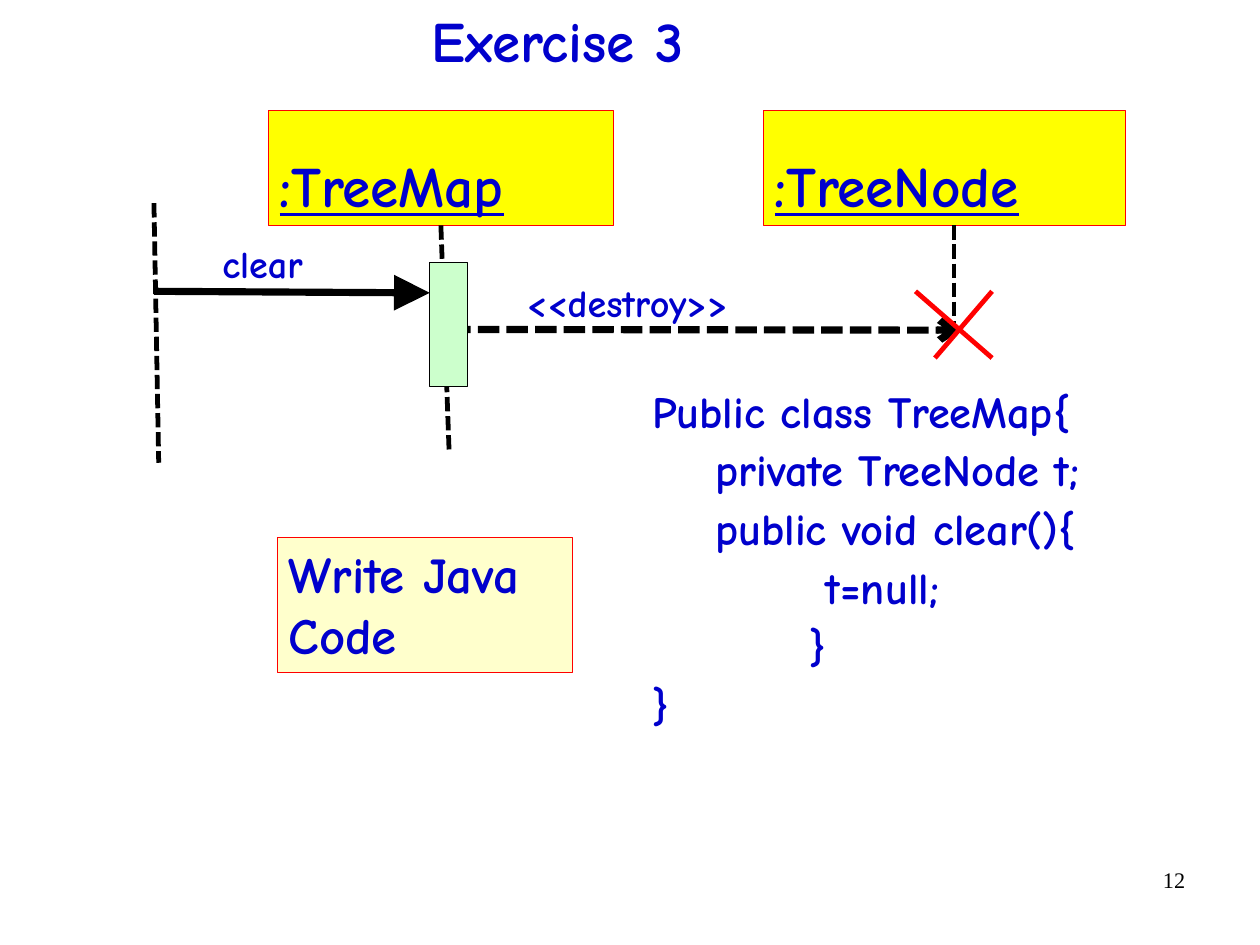
import pptx
import pptx.util
import pptx.dml.color
import pptx.enum.dml
import pptx.enum.shapes
import pptx.enum.text
import pptx.oxml
import pptx.oxml.ns

Pt = pptx.util.Pt
SLIDE_SIZE = (793.75, 595.25)
BLUE, BLACK, RED = "0000CC", "000000", "FF0000"
YELLOW, CREAM, GREEN = "FFFF00", "FFFFCC", "CCFFCC"

# left, top, width, height
OBJECTS = [
    (":TreeMap", (169, 69.5, 217.5, 72.5)),
    (":TreeNode", (481, 69.5, 228, 72.5)),
]
ACTIVATION = (270.75, 165.5, 24, 78)
TASK = ("Write Java Code", (174.75, 338.5, 185.75, 85))
TITLE = ("Exercise 3", (264.75, 0, 360, 51))
PAGE_NUMBER = ("12", (568.75, 542, 185, 41))
MESSAGE_LABELS = [
    ("<<destroy>>", (324.5, 177.75, 168, 30)),
    ("clear", (133, 153.5, 114, 31)),
]
CODE = """Public class TreeMap{
    private TreeNode t;
    public void clear(){
           t=null;
          }
}"""
CODE_AREA = (403.75, 234.75, 382, 237)

# from x, from y, to x, to y
MAP_LIFELINE = (277.75, 142, 283, 286)
OTHER_LIFELINES = [(601, 142, 601, 207.5), (97, 128, 100, 291.5)]
DESTROY_ARROW = (283, 207.5, 606, 208)
CLEAR_ARROW = (97, 183.5, 270.75, 184.5)
CROSS = [(576.75, 183.5, 625, 225.5), (589, 225.5, 625, 183.5)]


def color(value):
    return pptx.dml.color.RGBColor.from_string(value)


def write(shape, text, size=36, font="Comic Neue", ink=BLUE, bold=True,
          underline=False, spacing=1.0, align="LEFT"):
    frame = shape.text_frame
    frame.word_wrap = True
    frame.vertical_anchor = pptx.enum.text.MSO_ANCHOR.TOP
    for index, line in enumerate(text.split("\n")):
        para = frame.add_paragraph() if index else frame.paragraphs[0]
        para.alignment = pptx.enum.text.PP_ALIGN[align]
        para.line_spacing = spacing
        span = para.add_run()
        span.text = line
        span.font.name, span.font.size = font, Pt(size)
        span.font.bold, span.font.underline = bold, underline
        span.font.color.rgb = color(ink)


def add_label(page, text, area, **style):
    write(page.shapes.add_textbox(*map(Pt, area)), text, **style)


def add_box(page, area, fill, outline):
    kind = pptx.enum.shapes.MSO_SHAPE.RECTANGLE
    box = page.shapes.add_shape(kind, *map(Pt, area))
    box.shadow.inherit = False
    box.fill.solid()
    box.fill.fore_color.rgb = color(fill)
    box.line.color.rgb = color(outline)
    box.line.width = Pt(0.75)
    return box


def add_line(page, ends, ink=BLACK, width=3, dashed=False, head=None,
             head_size="med"):
    kind = pptx.enum.shapes.MSO_CONNECTOR.STRAIGHT
    line = page.shapes.add_connector(kind, *map(Pt, ends))
    line.line.color.rgb = color(ink)
    line.line.width = Pt(width)
    if dashed:
        line.line.dash_style = pptx.enum.dml.MSO_LINE.SQUARE_DOT
    namespace = pptx.oxml.ns.nsdecls("a")
    if head:
        line.line._get_or_add_ln().append(pptx.oxml.parse_xml(
            f'<a:tailEnd {namespace} type="{head}"'
            f' w="{head_size}" len="{head_size}"/>'))
    line._element.spPr.append(
        pptx.oxml.parse_xml(f'<a:effectLst {namespace}/>'))
    return line


def main():
    deck = pptx.Presentation()
    deck.slide_width, deck.slide_height = map(Pt, SLIDE_SIZE)
    page = deck.slides.add_slide(deck.slide_layouts[6])

    object_boxes = []
    for name, area in OBJECTS:
        box = add_box(page, area, YELLOW, RED)
        write(box, name, underline=True, spacing=1.5)
        object_boxes.append(box)

    add_line(page, MAP_LIFELINE, dashed=True).begin_connect(object_boxes[0], 2)
    for ends in OTHER_LIFELINES:
        add_line(page, ends, dashed=True)
    add_line(page, DESTROY_ARROW, width=4.5, dashed=True, head="arrow")
    add_line(page, CLEAR_ARROW, width=4.5, head="triangle", head_size="lg")
    for ends in CROSS:
        add_line(page, ends, ink=RED)
    add_box(page, ACTIVATION, GREEN, BLACK)

    for text, area in MESSAGE_LABELS:
        add_label(page, text, area, size=24, spacing=0.8)
    add_label(page, CODE, CODE_AREA, size=28, spacing=1.1)
    task, area = TASK
    write(add_box(page, area, CREAM, RED), task, size=32)
    add_label(page, *TITLE)
    add_label(page, *PAGE_NUMBER, size=14, font="Times New Roman",
              ink=BLACK, bold=False, align="RIGHT")

    deck.save("out.pptx")


if __name__ == "__main__":
    main()
